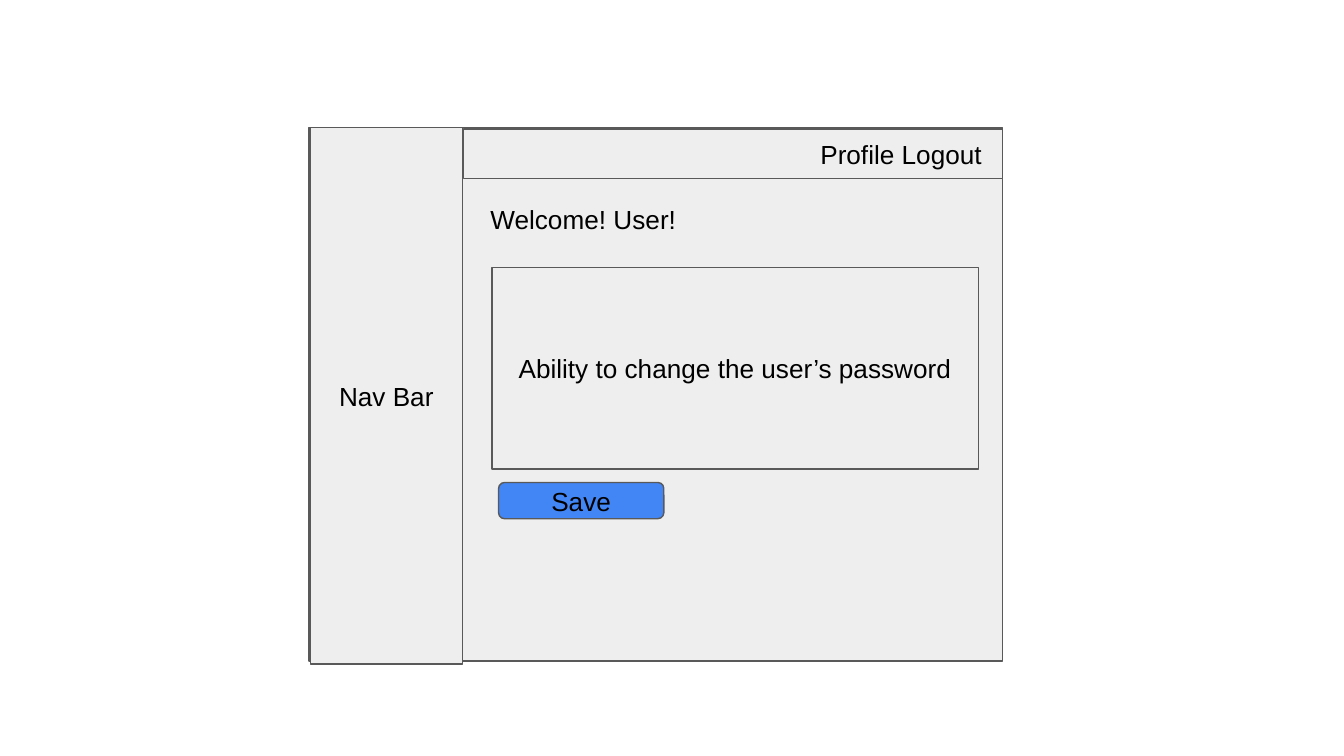
from dataclasses import dataclass
from typing import Optional

from pptx import Presentation
from pptx.dml.color import RGBColor
from pptx.enum.shapes import MSO_SHAPE
from pptx.enum.text import MSO_ANCHOR, PP_ALIGN
from pptx.util import Inches, Pt

RECT = MSO_SHAPE.RECTANGLE
ROUND = MSO_SHAPE.ROUNDED_RECTANGLE
TOP, MIDDLE = MSO_ANCHOR.TOP, MSO_ANCHOR.MIDDLE
LEFT, CENTER = PP_ALIGN.LEFT, PP_ALIGN.CENTER


@dataclass(frozen=True)
class Theme:
    panel: RGBColor = RGBColor(0xEE, 0xEE, 0xEE)
    button: RGBColor = RGBColor(0x42, 0x85, 0xF4)
    outline: RGBColor = RGBColor(0x59, 0x59, 0x59)
    ink: RGBColor = RGBColor(0, 0, 0)
    font: str = "Arial"
    size: float = 14
    line: float = 0.75
    inset: float = 0.1


THEME = Theme()


@dataclass(frozen=True)
class Box:
    left: float
    top: float
    width: float
    height: float
    text: str = ""
    fill: RGBColor = THEME.panel
    shape: MSO_SHAPE = RECT
    margin: Optional[float] = None
    indent: float = 0


FRAME = [
    Box(2.3, 0.95, 5.16, 3.97),
    Box(2.31, 0.95, 1.13, 3.99, "Nav Bar"),
    Box(3.45, 0.96, 4.01, 0.37, "Profile Logout", margin=2, indent=0.5),
]
WELCOME = Box(3.55, 1.41, 1.84, 0.41, "Welcome! User!")
CONTENT = [
    Box(3.66, 1.99, 3.62, 1.5, "Ability to change the user’s password"),
    Box(3.71, 3.59, 1.23, 0.27, "Save", THEME.button, ROUND),
]


def bounds(box: Box) -> list:
    return [Inches(v) for v in (box.left, box.top, box.width, box.height)]


def write(s, box: Box, align: PP_ALIGN, anchor: MSO_ANCHOR) -> None:
    tf = s.text_frame
    tf.word_wrap = True
    tf.vertical_anchor = anchor
    tf.margin_left = tf.margin_right = Inches(THEME.inset)
    tf.margin_top = tf.margin_bottom = Inches(THEME.inset)
    p = tf.paragraphs[0]
    p.alignment = align
    if box.margin is not None:
        pPr = p._p.get_or_add_pPr()
        pPr.set("marL", str(Inches(box.margin)))
        pPr.set("indent", str(Inches(box.indent)))
    r = p.add_run()
    r.text = box.text
    r.font.name = THEME.font
    r.font.size = Pt(THEME.size)
    r.font.color.rgb = THEME.ink


def draw_box(shapes, box: Box) -> None:
    s = shapes.add_shape(box.shape, *bounds(box))
    s.shadow.inherit = False
    s.fill.solid()
    s.fill.fore_color.rgb = box.fill
    s.line.color.rgb = THEME.outline
    s.line.width = Pt(THEME.line)
    if box.text:
        write(s, box, CENTER, MIDDLE)


def draw_label(shapes, box: Box) -> None:
    write(shapes.add_textbox(*bounds(box)), box, LEFT, TOP)


def main() -> None:
    prs = Presentation()
    prs.slide_width = Inches(10)
    prs.slide_height = prs.slide_width * 9 // 16
    shapes = prs.slides.add_slide(prs.slide_layouts[6]).shapes
    frame = shapes.add_group_shape()
    for box in FRAME:
        draw_box(frame.shapes, box)
    draw_label(shapes, WELCOME)
    for box in CONTENT:
        draw_box(shapes, box)
    prs.save("out.pptx")


if __name__ == "__main__":
    main()
